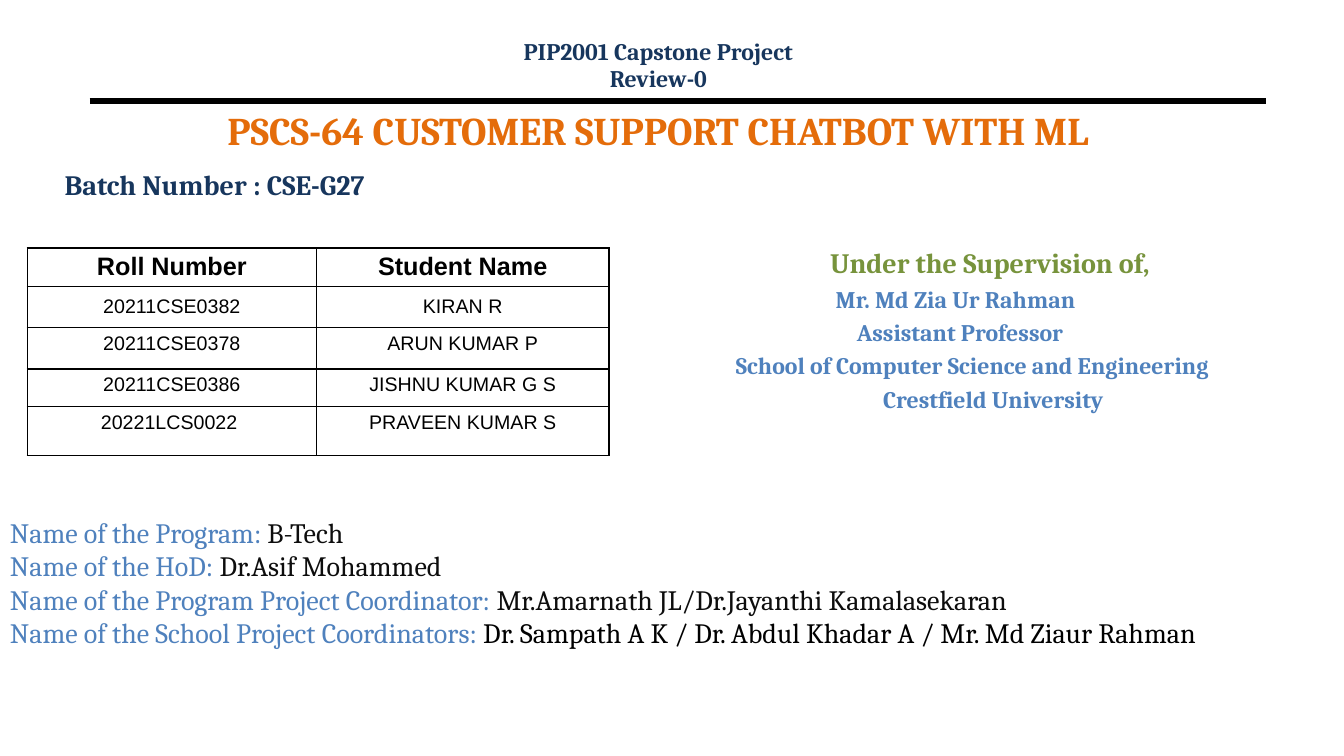
import pptx
import pptx.util
import pptx.dml.color
import pptx.enum.shapes
import pptx.enum.text
import pptx.oxml
import pptx.oxml.ns

Inches = pptx.util.Inches
Pt = pptx.util.Pt
ALIGN = pptx.enum.text.PP_ALIGN
ANCHOR = pptx.enum.text.MSO_ANCHOR

COLORS = {
    "black": "000000",
    "near_black": "0D0D0D",
    "navy": "17365D",
    "blue": "4F81BD",
    "green": "77933C",
    "orange": "E46C0A",
}


def style(span, size, color, bold=False, font="Cambria"):
    span.font.name = font
    span.font.size = Pt(size)
    span.font.bold = bold
    span.font.color.rgb = pptx.dml.color.RGBColor.from_string(COLORS[color])


def place(box, left, top, width, height, anchor=ANCHOR.TOP):
    box.left, box.top = Inches(left), Inches(top)
    box.width, box.height = Inches(width), Inches(height)
    frame = box.text_frame
    frame.word_wrap = True
    frame.auto_size = pptx.enum.text.MSO_AUTO_SIZE.NONE
    frame.vertical_anchor = anchor
    return frame


deck = pptx.Presentation()
deck.slide_width, deck.slide_height = Inches(13.33), Inches(7.5)
page = deck.slides.add_slide(deck.slide_layouts[0])

rule = page.shapes.add_connector(
    pptx.enum.shapes.MSO_CONNECTOR.STRAIGHT,
    Inches(0.89), Inches(1), Inches(12.56), Inches(1))
rule.line.width = Pt(4.5)
rule.line.color.rgb = pptx.dml.color.RGBColor.from_string(COLORS["black"])
rule._element.spPr.append(pptx.oxml.parse_xml(
    f'<a:effectLst {pptx.oxml.ns.nsdecls("a")}/>'))

title = place(page.shapes.title, 0.86, 1.04, 11.33, 0.49, ANCHOR.MIDDLE)
title.text = "PSCS-64 CUSTOMER SUPPORT CHATBOT WITH ML"
title.paragraphs[0].alignment = ALIGN.CENTER
style(title.paragraphs[0].runs[0], 28, "orange", True)

batch = place(page.placeholders[1], 0.54, 1.61, 4.34, 0.6)
batch.text = "Batch Number : CSE-G27"
batch.paragraphs[0].alignment = ALIGN.LEFT
batch.paragraphs[0].space_before = Pt(0)
style(batch.paragraphs[0].runs[0], 20, "navy", True)

header = place(page.shapes.add_textbox(0, 0, 0, 0), 4.36, 0.37, 4.34, 0.6)
header.text = "PIP2001 Capstone Project\nReview-0"
for para in header.paragraphs:
    para.alignment = ALIGN.CENTER
    para.line_spacing = 0.8
    style(para.runs[0], 17, "navy", True)
header.paragraphs[1].space_before = Pt(3.1)

supervision = place(page.shapes.add_textbox(0, 0, 0, 0), 7.2, 2.39, 5.24, 2.39)
supervision.text = "Under the Supervision of,"
supervision.paragraphs[0].alignment = ALIGN.CENTER
style(supervision.paragraphs[0].runs[0], 20, "green", True)
supervisor_lines = [
    ("Mr. Md Zia Ur Rahman", 0.99),
    ("Assistant Professor", 1.2),
    ("School of Computer Science and Engineering", 0),
    ("Crestfield University", 1.46),
]
for text, indent in supervisor_lines:
    para = supervision.add_paragraph()
    para.text = text
    para.space_before = Pt(3.4)
    para._p.get_or_add_pPr().set("marL", str(Inches(indent)))
    style(para.runs[0], 17, "blue", True)

staff = place(page.shapes.add_textbox(0, 0, 0, 0), 0, 5.06, 13.4, 1.88)
staff_lines = [
    ("Name of the Program: ", "B-Tech", "near_black"),
    ("Name of the HoD:", " Dr.Asif Mohammed", "near_black"),
    ("Name of the Program Project Coordinator:",
     " Mr.Amarnath JL/Dr.Jayanthi Kamalasekaran", "near_black"),
    ("Name of the School Project Coordinators: ",
     "Dr. Sampath A K / Dr. Abdul Khadar A / Mr. Md Ziaur Rahman", "black"),
]
for index, (label, name, color) in enumerate(staff_lines):
    para = staff.add_paragraph() if index else staff.paragraphs[0]
    for text, tone in ((label, "blue"), (name, color)):
        span = para.add_run()
        span.text = text
        style(span, 20, tone)

students = [
    ("Roll Number", "Student Name"),
    ("20211CSE0382", "KIRAN R"),
    ("20211CSE0378", "ARUN KUMAR P"),
    ("20211CSE0386", "JISHNU KUMAR G S"),
    ("20221LCS0022 ", "PRAVEEN KUMAR S"),
]
table = page.shapes.add_table(
    len(students), 2, Inches(0.27), Inches(2.46), Inches(5.77), Inches(2.02)).table
table.first_row = table.horz_banding = False
for column, width in zip(table.columns, (2.87, 2.9)):
    column.width = Inches(width)
for row, height in zip(table.rows, (0.34, 0.41, 0.41, 0.37, 0.49)):
    row.height = Inches(height)
for row_index, student in enumerate(students):
    heading = row_index == 0
    for column_index, text in enumerate(student):
        cell = table.cell(row_index, column_index)
        cell.text = text
        cell.vertical_anchor = ANCHOR.MIDDLE if row_index < 2 else ANCHOR.TOP
        para = cell.text_frame.paragraphs[0]
        para.alignment = ALIGN.CENTER
        style(para.runs[0], 18 if heading else 14, "black", heading, "Arial")
        properties = cell._tc.get_or_add_tcPr()
        for side in ("lnL", "lnR", "lnT", "lnB"):
            properties.append(pptx.oxml.parse_xml(
                f'<a:{side} {pptx.oxml.ns.nsdecls("a")} w="{Pt(1)}"><a:solidFill>'
                f'<a:srgbClr val="{COLORS["black"]}"/></a:solidFill></a:{side}>'))
        cell.fill.background()

deck.save("out.pptx")
